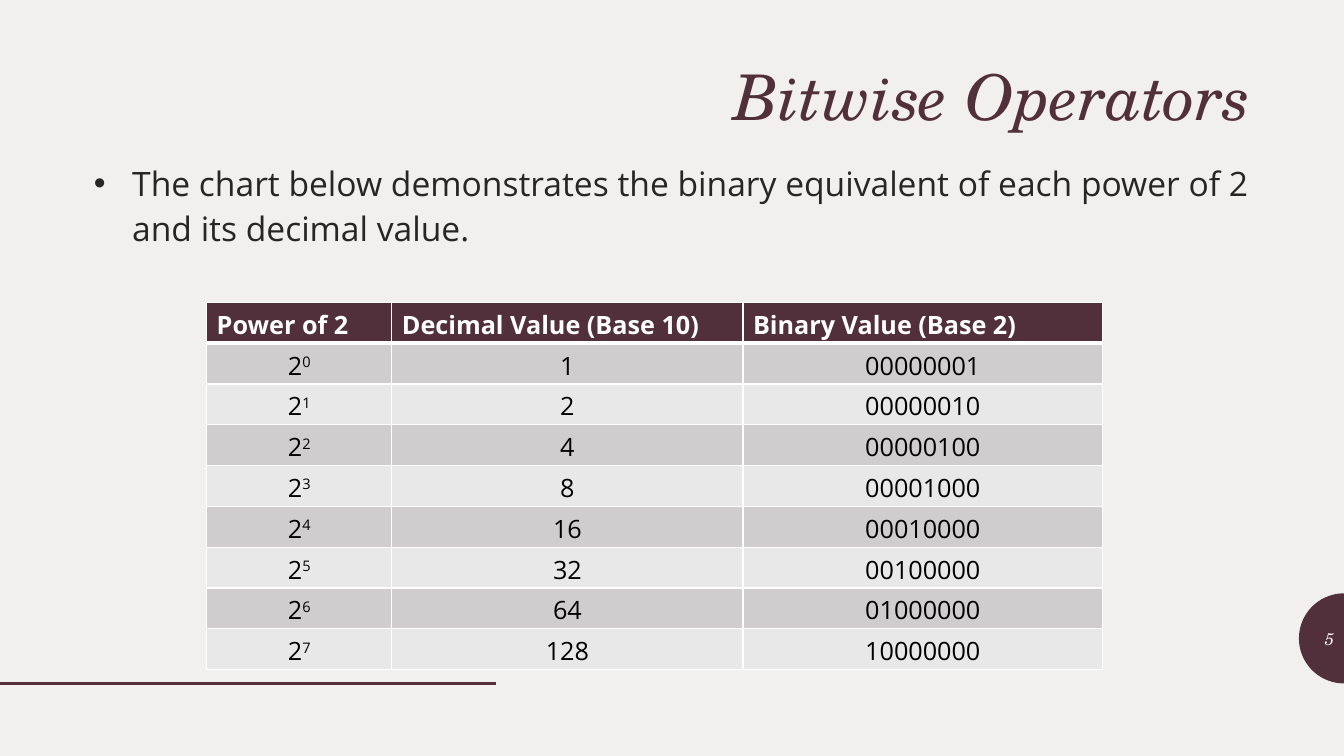
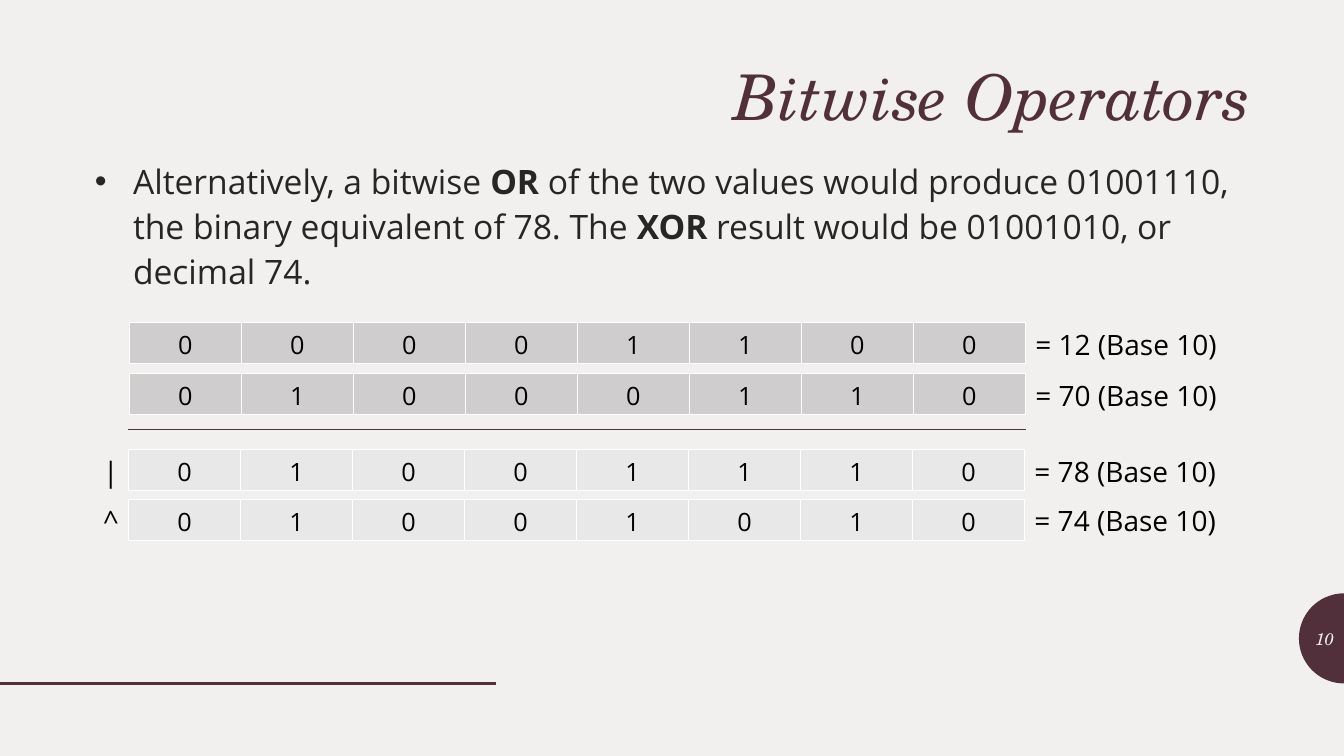
import math

from lxml import etree
from pptx import Presentation, util as u
from pptx.dml.color import RGBColor
from pptx.enum import shapes, text
from pptx.oxml import ns

PLUM = RGBColor(0x51, 0x30, 0x3B)
PAPER = RGBColor(0xF2, 0xF0, 0xEF)
INK = RGBColor(0x26, 0x26, 0x26)
BLACK = RGBColor(0, 0, 0)
WHITE = RGBColor(0xFF, 0xFF, 0xFF)
DARK_BAND = RGBColor(0xD0, 0xCD, 0xCE)
LIGHT_BAND = RGBColor(0xE9, 0xE8, 0xE8)
SANS, SERIF = "Open Sans", "TeX Gyre Schola"
LEFT, CENTER, RIGHT = text.PP_ALIGN.LEFT, text.PP_ALIGN.CENTER, text.PP_ALIGN.RIGHT
COLUMNS, ROWS = 160, 90
CELL_HEIGHT = 4.86


def grid(steps):
    """Convert grid columns or rows, twelve to the inch, to a length."""
    return u.Inches(steps / 12)


def add_xml(parent, tag, **attributes):
    """Append a DrawingML element and return it."""
    return etree.SubElement(parent, ns.qn(tag), attributes)


def write(frame, content, size=18, font=SANS, color=BLACK, align=LEFT, bold=False,
          italic=False, spacing=None, before=None, bullet=False):
    """Write one paragraph from a string or from (text, emphasis) pairs."""
    paragraph = frame.paragraphs[0]
    paragraph.alignment = align
    if spacing:
        paragraph.line_spacing = spacing
    if before:
        paragraph.space_before = u.Pt(before)
    if bullet:
        properties = paragraph._p.get_or_add_pPr()
        properties.set("marL", str(u.Inches(0.38)))
        properties.set("indent", str(u.Inches(-0.38)))
        add_xml(properties, "a:buFont", typeface="Arial")
        add_xml(properties, "a:buChar", char="•")
    pieces = [(content, None)] if isinstance(content, str) else content
    for words, emphasis in pieces:
        run = paragraph.add_run()
        run.text = words
        run.font.size, run.font.name = u.Pt(size), font
        run.font.bold, run.font.italic = bold or emphasis == "bold", italic
        run.font.color.rgb = color
        if emphasis == "super":
            run._r.get_or_add_rPr().set("baseline", "30000")


def border(cell, bottom):
    """Draw white cell edges, with the given bottom width in points."""
    properties = cell._tc.get_or_add_tcPr()
    for side, width in (("L", 1), ("R", 1), ("T", 1), ("B", bottom)):
        edge = add_xml(properties, f"a:ln{side}", w=str(u.Pt(width)))
        add_xml(add_xml(edge, "a:solidFill"), "a:srgbClr", val=str(WHITE))


class Deck:
    """The shared style and the slide being built."""

    def __init__(self):
        self.show = Presentation()
        self.show.slide_width, self.show.slide_height = grid(COLUMNS), grid(ROWS)
        self.slide = None

    def new_slide(self, title, number):
        """Start a slide with its background, title and page marker."""
        self.slide = self.show.slides.add_slide(self.show.slide_layouts[6])
        self.slide.background.fill.solid()
        self.slide.background.fill.fore_color.rgb = PAPER
        self.half_disc(COLUMNS, 76, 5.36)
        self.line(0, 59, 81.35, 2)
        self.label(title, 10, 7.3, 140, 9.1, size=45, font=SERIF, color=PLUM,
                   italic=True, align=RIGHT, spacing=0.9)
        self.label(str(number), 154.64, 73.6, 5.36, 4.8, anchor=text.MSO_ANCHOR.MIDDLE,
                   size=12, font=SERIF, color=PAPER, italic=True, align=RIGHT)

    def half_disc(self, column, row, radius):
        """Draw the left half of a disc around a grid point."""
        angles = [math.pi * (0.5 + step / 48) for step in range(49)]
        points = [(grid(column + radius * math.cos(a)), grid(row - radius * math.sin(a)))
                  for a in angles]
        builder = self.slide.shapes.build_freeform(*points[0], scale=1.0)
        builder.add_line_segments(points[1:], close=True)
        disc = builder.convert_to_shape()
        disc.shadow.inherit = False
        disc.fill.solid()
        disc.fill.fore_color.rgb = PLUM
        disc.line.fill.background()

    def line(self, start, end, row, width):
        """Draw a horizontal rule between two columns."""
        rule = self.slide.shapes.add_connector(
            shapes.MSO_CONNECTOR.STRAIGHT, grid(start), grid(row), grid(end), grid(row))
        rule.line.color.rgb = PLUM
        rule.line.width = u.Pt(width)
        add_xml(rule._element.spPr, "a:effectLst")

    def label(self, content, column, row, width, height,
              anchor=text.MSO_ANCHOR.TOP, **style):
        """Place a wrapped text box."""
        box = self.slide.shapes.add_textbox(
            grid(column), grid(row), grid(width), grid(height))
        box.text_frame.word_wrap = True
        box.text_frame.vertical_anchor = anchor
        write(box.text_frame, content, **style)

    def body(self, content, column, row):
        """Place the bulleted body text."""
        self.label(content, column, row, 140, 61.7, size=24, color=INK,
                   spacing=1.12, before=9, bullet=True)

    def table(self, lines, column, row, widths, bands, header=False, bottom_inset=0.05):
        """Place a table whose rows take the band colours in turn."""
        grid_table = self.slide.shapes.add_table(
            len(lines), len(widths), grid(column), grid(row),
            grid(sum(widths)), grid(CELL_HEIGHT * len(lines))).table
        grid_table.first_row, grid_table.horz_banding = header, False
        for index, width in enumerate(widths):
            grid_table.columns[index].width = grid(width)
        for r, values in enumerate(lines):
            heading = header and r == 0
            for c, value in enumerate(values):
                cell = grid_table.cell(r, c)
                border(cell, 3 if heading else 1)
                cell.margin_bottom = u.Inches(bottom_inset)
                cell.fill.solid()
                cell.fill.fore_color.rgb = PLUM if heading else bands[(r - header) % len(bands)]
                write(cell.text_frame, value, bold=heading,
                      color=WHITE if heading else BLACK, align=LEFT if heading else CENTER)

    def byte(self, value, column, row, band, label_row, sign="", bottom_inset=0.05):
        """Show a value as eight bits with its decimal label and operator sign."""
        widths = [40 / 3] * 8
        self.table([format(value, "08b")], column, row, widths, [band],
                   bottom_inset=bottom_inset)
        self.label(f"= {value} (Base 10)", column + sum(widths), label_row, 24.8, 5.3, size=20)
        if sign:
            self.label(sign, column - 5.3, label_row, 5.3, 5.3, size=20, align=RIGHT)


def powers_slide(deck):
    """Build the table of powers of two."""
    deck.new_slide("Bitwise Operators", 5)
    deck.body("The chart below demonstrates the binary equivalent of each power of 2 "
              "and its decimal value.", 10, 18.2)
    headings = ["Power of 2", "Decimal Value (Base 10)", "Binary Value (Base 2)"]
    powers = [[[("2", None), (str(n), "super")], str(2 ** n), format(2 ** n, "08b")]
              for n in range(8)]
    deck.table([headings] + powers, 24.6, 36, [22.05, 41.8, 42.85],
               [DARK_BAND, LIGHT_BAND], header=True)


def or_xor_slide(deck):
    """Build the worked OR and XOR example."""
    first, second = 12, 70
    deck.new_slide("Bitwise Operators", 10)
    deck.body([("Alternatively, a bitwise ", None), ("OR", "bold"),
               (" of the two values would produce 01001110, the binary equivalent of 78. The ",
                None),
               ("XOR", "bold"), (" result would be 01001010, or decimal 74.", None)], 10.1, 18)
    deck.byte(first, 15.4, 38.4, DARK_BAND, 38.4)
    deck.byte(second, 15.4, 44.45, DARK_BAND, 44.45)
    deck.byte(first | second, 15.3, 53.5, LIGHT_BAND, 53.5, "|", bottom_inset=0.02)
    deck.byte(first ^ second, 15.3, 59.5, LIGHT_BAND, 59.3, "^", bottom_inset=0.02)
    deck.line(15.25, 122.15, 51.15, 0.5)


deck = Deck()
powers_slide(deck)
or_xor_slide(deck)
deck.show.save("out.pptx")
